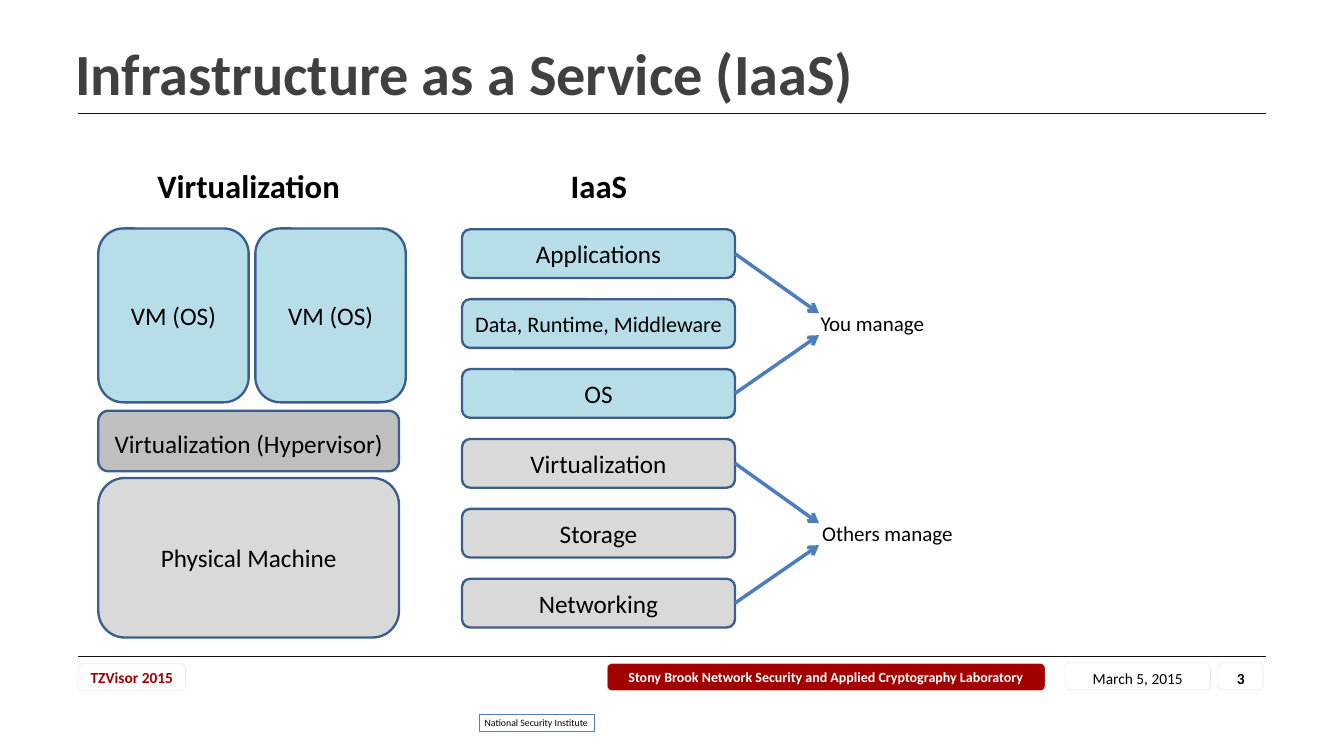
"""Build the slide that compares virtualization with Infrastructure as a Service."""
from dataclasses import dataclass

from lxml import etree
from pptx import Presentation
from pptx import util as u
from pptx.dml.color import RGBColor
from pptx.enum import shapes, text
from pptx.oxml.ns import qn


@dataclass(frozen=True)
class Theme:
    font: str = "Calibri"
    title: str = "404040"
    ink: str = "000000"
    paper: str = "FFFFFF"
    rule: str = "0D0D0D"
    crimson: str = "A10200"
    own: str = "B7DEE8"
    provider: str = "D9D9D9"
    hypervisor: str = "BFBFBF"
    box_edge: str = "3A5F8C"
    footer_edge: str = "D9D9D9"
    badge_edge: str = "4F81BD"
    arrow: str = "4B7EBC"
    title_size: float = 50
    heading_size: float = 28
    label_size: float = 21.6
    long_label_size: float = 19
    caption_size: float = 18
    footer_size: float = 13.2
    lab_size: float = 12
    badge_size: float = 8.4


THEME = Theme()
CENTER = text.PP_ALIGN.CENTER
LEFT = text.PP_ALIGN.LEFT
ROUNDED = shapes.MSO_SHAPE.ROUNDED_RECTANGLE


def inches(values):
    """Convert a sequence of numbers to lengths."""
    return [u.Inches(value) for value in values]


def write(frame, wording, size, color=THEME.ink, bold=False, align=CENTER):
    """Fill a frame with one vertically centred, formatted paragraph."""
    frame.text = wording
    frame.vertical_anchor = text.MSO_ANCHOR.MIDDLE
    paragraph = frame.paragraphs[0]
    paragraph.alignment = align
    font = paragraph.runs[0].font
    font.name, font.size, font.bold = THEME.font, u.Pt(size), bold
    font.color.rgb = RGBColor.from_string(color)


def add_box(slide, place, wording, fill=None, edge=THEME.box_edge, weight=2,
            size=THEME.label_size, color=THEME.ink, bold=False, drop=0,
            outline=ROUNDED):
    """Draw an outlined box whose label may sit slightly below its middle."""
    box = slide.shapes.add_shape(outline, *inches(place))
    box.shadow.inherit = False
    if fill:
        box.fill.solid()
        box.fill.fore_color.rgb = RGBColor.from_string(fill)
    else:
        box.fill.background()
    box.line.color.rgb = RGBColor.from_string(edge)
    box.line.width = u.Pt(weight)
    frame = box.text_frame
    frame.word_wrap = False
    frame.margin_left = frame.margin_right = frame.margin_bottom = 0
    frame.margin_top = u.Inches(2 * drop)
    write(frame, wording, size, color, bold)
    return box


def add_text(slide, place, wording, size, **style):
    """Place a line of text without an outline."""
    frame = slide.shapes.add_textbox(*inches(place)).text_frame
    frame.word_wrap = True
    write(frame, wording, size, **style)


def add_line(slide, start, end, color, weight):
    """Draw a straight line without a shadow."""
    line = slide.shapes.add_connector(
        shapes.MSO_CONNECTOR.STRAIGHT, *inches(start + end))
    line.line.color.rgb = RGBColor.from_string(color)
    line.line.width = u.Pt(weight)
    etree.SubElement(line._element.spPr, qn("a:effectLst"))
    return line


def add_arrow(slide, layer, tip):
    """Lead an arrow from the right side of a layer to a point."""
    arrow = add_line(slide, tip, tip, THEME.arrow, 3)
    arrow.begin_connect(layer, 3)
    etree.SubElement(arrow.line._get_or_add_ln(), qn("a:tailEnd"), type="arrow")


def add_frame(slide):
    """Add the title, the two rules and the footer."""
    for top in (1.35, 7.82):
        add_line(slide, (0.93, top), (15.07, top), THEME.rule, 0.75)
    add_text(slide, (0.8, 0.24, 14.27, 1.24), "Infrastructure as a Service (IaaS)",
             THEME.title_size, color=THEME.title, bold=True, align=LEFT)
    footer = dict(edge=THEME.footer_edge, weight=0.25)
    small = dict(footer, size=THEME.footer_size)
    add_box(slide, (0.93, 7.9, 1.28, 0.32), "TZVisor 2015",
            color=THEME.crimson, bold=True, **small)
    add_box(slide, (7.23, 7.9, 5.21, 0.32),
            "Stony Brook Network Security and Applied Cryptography Laboratory",
            fill=THEME.crimson, size=THEME.lab_size, color=THEME.paper,
            bold=True, **footer)
    add_box(slide, (12.68, 7.89, 1.73, 0.32), "March 5, 2015", drop=0.03, **small)
    add_box(slide, (14.5, 7.89, 0.54, 0.32), "3", bold=True, drop=0.03, **small)
    add_box(slide, (5.7, 8.5, 1.37, 0.21), "National Security Institute",
            fill=THEME.paper, edge=THEME.badge_edge, weight=0.25,
            size=THEME.badge_size, outline=shapes.MSO_SHAPE.RECTANGLE)


def add_virtualization(slide):
    """Add the machine, the hypervisor and its two virtual machines."""
    add_text(slide, (1.76, 1.92, 2.4, 0.57), "Virtualization",
             THEME.heading_size, bold=True)
    add_box(slide, (1.17, 5.69, 3.58, 1.9), "Physical Machine", THEME.provider)
    add_box(slide, (1.17, 4.89, 3.58, 0.72), "Virtualization (Hypervisor)",
            THEME.hypervisor, drop=0.03)
    for left in (1.17, 3.04):
        add_box(slide, (left, 2.72, 1.79, 2.07), "VM (OS)", THEME.own)


def add_iaas(slide):
    """Add the stack of layers and the party that manages each half."""
    add_text(slide, (6.13, 1.92, 2, 0.57), "IaaS", THEME.heading_size, bold=True)
    names = ("Applications", "Data, Runtime, Middleware", "OS",
             "Virtualization", "Storage", "Networking")
    first, last = 2.73, 6.89
    pitch = (last - first) / (len(names) - 1)
    layers = []
    for index, name in enumerate(names):
        fill = THEME.own if index < 3 else THEME.provider
        size = THEME.long_label_size if len(name) > 20 else THEME.label_size
        layers.append(add_box(slide, (5.5, first + index * pitch, 3.25, 0.58),
                              name, fill, size=size))
    managers = (("You manage", 9.67, 3.86, layers[:3]),
                ("Others manage", 9.69, 6.36, layers[3:]))
    for caption, left, middle, managed in managers:
        add_arrow(slide, managed[0], (9.75, middle - 0.13))
        add_arrow(slide, managed[-1], (9.75, middle + 0.13))
        add_text(slide, (left, middle - 0.21, 2, 0.4), caption,
                 THEME.caption_size, align=LEFT)


def main():
    """Create the presentation and save it."""
    deck = Presentation()
    deck.slide_width, deck.slide_height = inches((16, 9))
    slide = deck.slides.add_slide(deck.slide_layouts[6])
    add_frame(slide)
    add_virtualization(slide)
    add_iaas(slide)
    deck.save("out.pptx")


if __name__ == "__main__":
    main()
